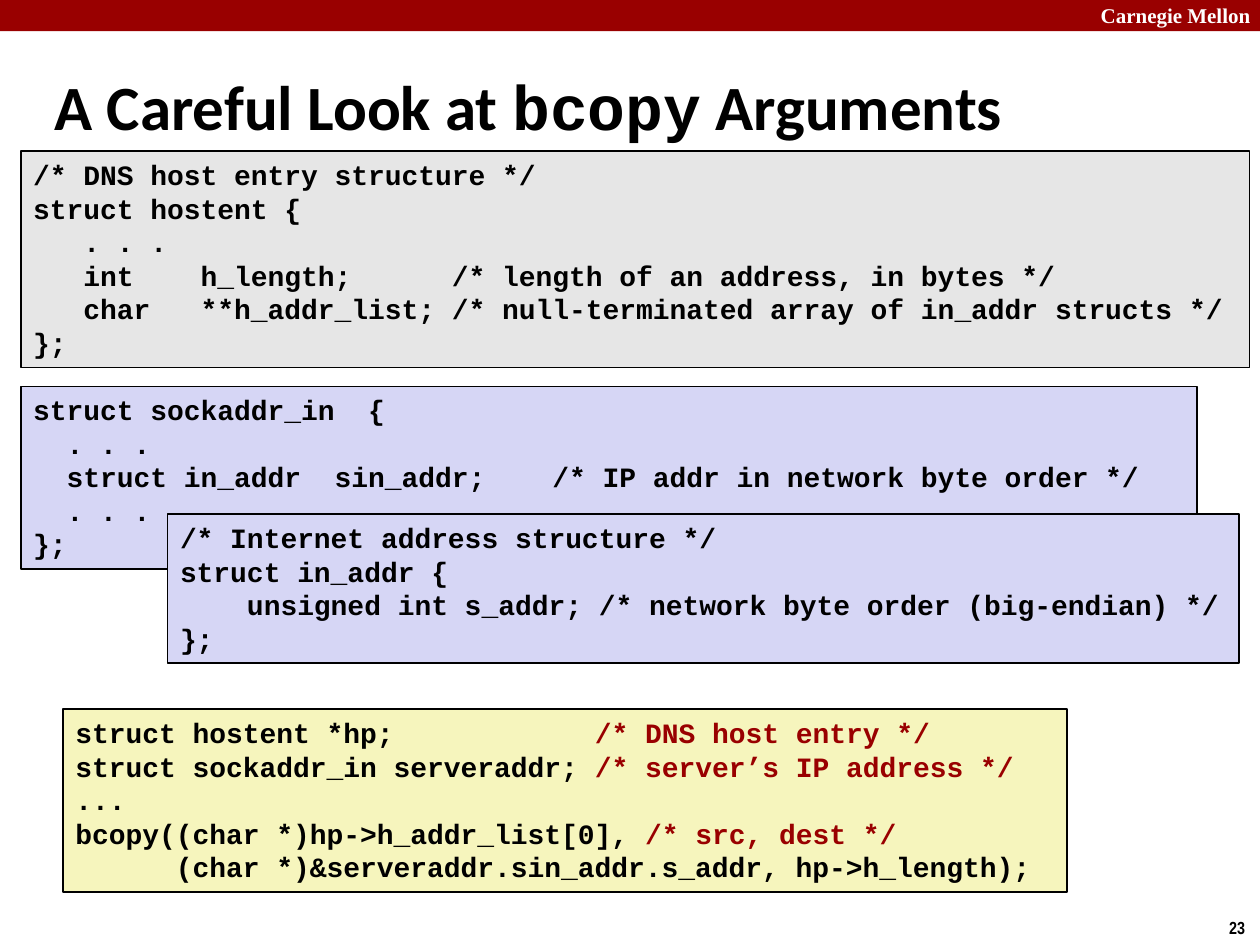
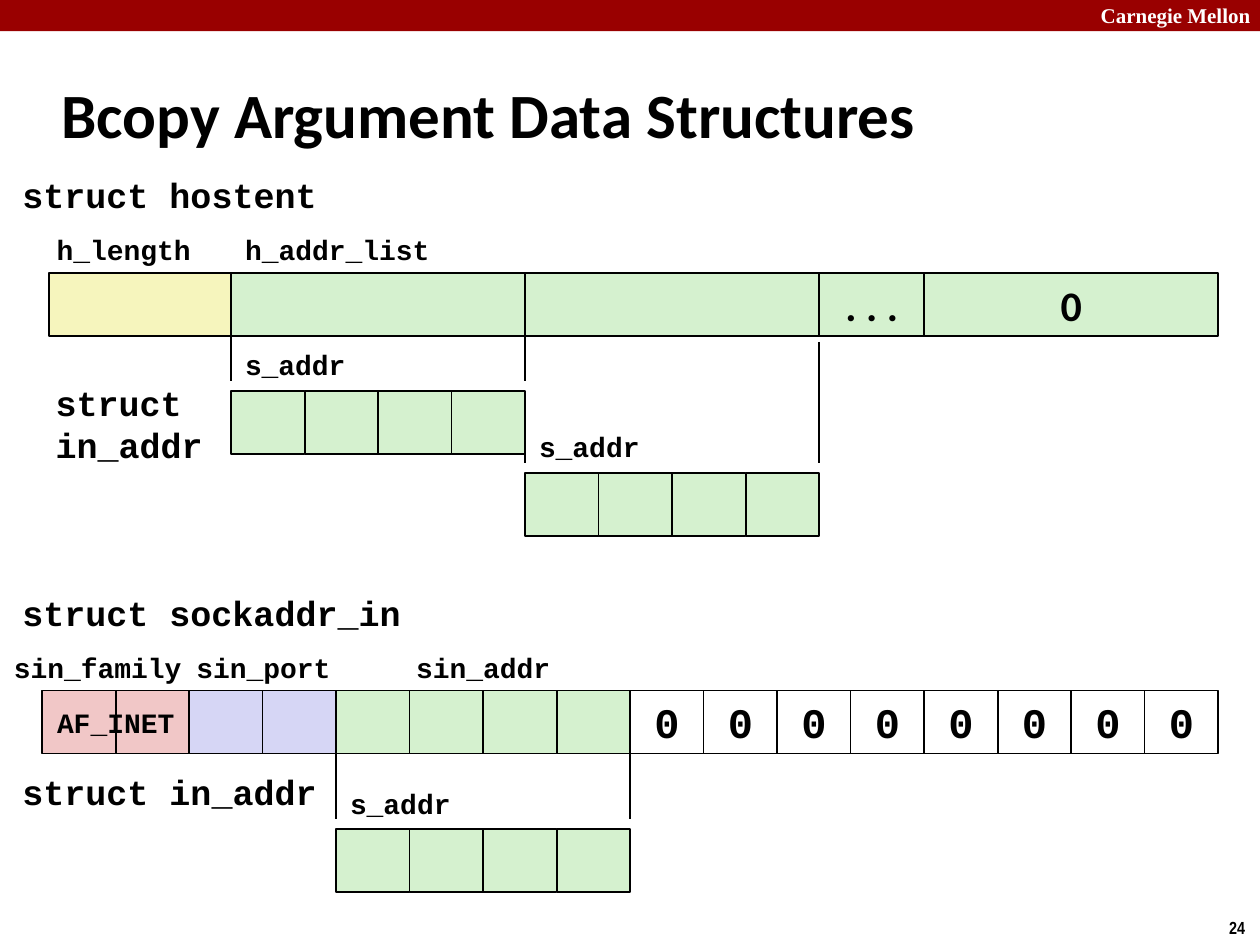
from dataclasses import dataclass
from itertools import accumulate

from lxml import etree
from pptx import Presentation
from pptx.dml.color import RGBColor
from pptx.enum.shapes import MSO_CONNECTOR as CONN, MSO_SHAPE as SHAPE
from pptx.enum.text import MSO_ANCHOR as ANCHOR, PP_ALIGN as ALIGN
from pptx.oxml.ns import qn
from pptx.util import Cm, Pt


@dataclass(frozen=True)
class Theme:
    red: str = "990000"
    black: str = "000000"
    white: str = "FFFFFF"
    grey: str = "E6E6E6"
    yellow: str = "F6F5BD"
    blue: str = "D6D6F5"
    green: str = "D5F1CF"
    pink: str = "F1C7C7"
    head: str = "Calibri"
    mono: str = "Courier New"
    serif: str = "Times New Roman"
    narrow: str = "Arial Narrow"
    title: int = 36
    cell: int = 24
    name: int = 20
    code: int = 16
    band: int = 12
    number: int = 10
    line: float = 1


T = Theme()
INCH = 2.54
BYTE = 7 / 12 * INCH
WORD = 4 * BYTE
CELL_H = 1.27
ROW_DY = 2.12
LABEL_DY = 1.18


def rgb(value):
    return RGBColor.from_string(value)


def write(sp, lines, size=T.code, font=T.mono, color=T.black,
          align=ALIGN.LEFT, anchor=ANCHOR.TOP, wrap=True):
    tf = sp.text_frame
    tf.word_wrap = wrap
    tf.vertical_anchor = anchor
    for i, runs in enumerate(lines):
        p = tf.paragraphs[0] if i == 0 else tf.add_paragraph()
        p.alignment = align
        for words, changes in runs:
            r = p.add_run()
            r.text = words
            r.font.size = Pt(size)
            r.font.bold = True
            r.font.name = changes.get("font", font)
            r.font.color.rgb = rgb(changes.get("color", color))
    return sp


def plain(*lines):
    return [[(line, {})] for line in lines]


def text(s, box, lines, **fmt):
    return write(s.shapes.add_textbox(*map(Cm, box)), lines, **fmt)


def rect(s, box, fill, outlined=True):
    sp = s.shapes.add_shape(SHAPE.RECTANGLE, *map(Cm, box))
    sp.shadow.inherit = False
    sp.fill.solid()
    sp.fill.fore_color.rgb = rgb(fill)
    if outlined:
        sp.line.color.rgb = rgb(T.black)
        sp.line.width = Pt(T.line)
    else:
        sp.line.fill.background()
    return sp


def vline(s, x, top, bottom):
    c = s.shapes.add_connector(CONN.STRAIGHT, Cm(x), Cm(top), Cm(x), Cm(bottom))
    c.line.color.rgb = rgb(T.black)
    c.line.width = Pt(T.line)
    etree.SubElement(c._element.spPr, qn("a:effectLst"))


def label(s, x, y, *lines, size=T.code):
    width = max(map(len, lines)) * 0.6 * size / 72 * INCH + 0.6
    height = len(lines) * size / 60 * INCH + 0.25
    text(s, (x, y, width, height), plain(*lines), size=size, wrap=False)


def base_slide(prs, number, title, box):
    s = prs.slides.add_slide(prs.slide_layouts[6])
    rect(s, (0, 0, 25.4, 0.63), T.red, outlined=False)
    text(s, (21.94, -0.08, 3.63, 0.76), plain("Carnegie Mellon"),
         size=T.band, font=T.serif, color=T.white)
    text(s, (24.53, 18.36, 0.86, 0.69), plain(str(number)),
         size=T.number, font=T.narrow, wrap=False)
    text(s, box, [title], size=T.title, font=T.head, anchor=ANCHOR.MIDDLE)
    return s


def code_box(s, box, fill, code, comment_color=T.black):
    lines = []
    for line in code.strip("\n").split("\n"):
        before, mark, after = line.partition("/*")
        runs = [(before, {}), (mark + after, {"color": comment_color})]
        lines.append([run for run in runs if run[0]])
    write(rect(s, box, fill), lines)


def cells(s, x, y, row, font=T.mono):
    lefts = accumulate((width for width, _, _ in row), initial=x)
    for left, (width, fill, words) in zip(lefts, row):
        sp = rect(s, (left, y, width, CELL_H), fill)
        if words:
            write(sp, plain(words), size=T.cell, font=font,
                  align=ALIGN.CENTER, anchor=ANCHOR.MIDDLE)


def in_addr(s, x, y, left_top, right_top):
    cells(s, x, y, [(BYTE, T.green, "")] * 4)
    label(s, x + 0.03, y - 0.99, "s_addr")
    vline(s, x, left_top, y - 0.2)
    vline(s, x + WORD, right_top, y - 0.2)


def struct_row(s, x, y, name, fields, row, font=T.mono):
    label(s, 0.2, y, name, size=T.name)
    cells(s, x, y + ROW_DY, row, font)
    for dx, field in fields:
        label(s, x + dx, y + LABEL_DY, field)


def hostent(s, x, y):
    length_w, gap_w = 3.67, 2.12
    struct_row(s, x, y, "struct hostent",
               [(-0.1, "h_length"), (length_w + 0.03, "h_addr_list")],
               [(length_w, T.yellow, ""), (WORD, T.green, ""),
                (WORD, T.green, ""), (gap_w, T.green, ". . ."),
                (WORD, T.green, "0")], T.head)
    label(s, x - 0.12, y + 4.19, "struct", "in_addr", size=T.name)
    first = x + length_w
    in_addr(s, first, y + 4.5, y + 2.97, y + 2.97)
    in_addr(s, first + WORD, y + 6.15, y + 4.62, y + 3.51)


def sockaddr_in(s, x, y):
    row = [(BYTE, fill, words) for count, fill, words in
           [(2, T.pink, ""), (2, T.blue, ""), (4, T.green, ""), (8, T.white, "0")]
           for _ in range(count)]
    struct_row(s, x, y, "struct sockaddr_in",
               [(-0.82, "sin_family"), (2.86, "sin_port"), (7.29, "sin_addr")], row)
    label(s, x + 0.05, y + 2.29, "AF_INET")
    label(s, 0.2, y + 3.6, "struct in_addr", size=T.name)
    bottom = y + ROW_DY + CELL_H
    in_addr(s, x + WORD, y + 4.92, bottom, bottom)


HOSTENT = """
/* DNS host entry structure */
struct hostent {
   . . .
   int    h_length;      /* length of an address, in bytes */
   char   **h_addr_list; /* null-terminated array of in_addr structs */
};
"""

SOCKADDR_IN = """
struct sockaddr_in  {
  . . .
  struct in_addr  sin_addr;    /* IP addr in network byte order */
  . . .
};
"""

IN_ADDR = """
/* Internet address structure */
struct in_addr {
    unsigned int s_addr; /* network byte order (big-endian) */
};
"""

BCOPY = """
struct hostent *hp;            /* DNS host entry */
struct sockaddr_in serveraddr; /* server’s IP address */
...
bcopy((char *)hp->h_addr_list[0], /* src, dest */
      (char *)&serveraddr.sin_addr.s_addr, hp->h_length);
"""


def arguments_slide(prs):
    title = [("A Careful Look at ", {}), ("bcopy", {"font": T.mono}), (" Arguments", {})]
    s = base_slide(prs, 23, title, (0.85, 1.06, 21.08, 2.12))
    code_box(s, (0.42, 3.05, 24.77, 4.36), T.grey, HOSTENT)
    code_box(s, (1.27, 14.3, 20.24, 3.68), T.yellow, BCOPY, comment_color=T.red)
    code_box(s, (0.42, 7.79, 23.71, 3.68), T.blue, SOCKADDR_IN)
    code_box(s, (3.38, 10.37, 21.6, 3), T.blue, IN_ADDR)


def structures_slide(prs):
    title = [("Bcopy Argument Data Structures", {})]
    s = base_slide(prs, 24, title, (0.99, 1.23, 21.08, 2.12))
    sockaddr_in(s, 0.85, 11.8)
    hostent(s, 0.99, 3.38)


def main():
    prs = Presentation()
    prs.slide_width, prs.slide_height = Cm(25.4), Cm(19.05)
    arguments_slide(prs)
    structures_slide(prs)
    prs.save("out.pptx")


if __name__ == "__main__":
    main()
